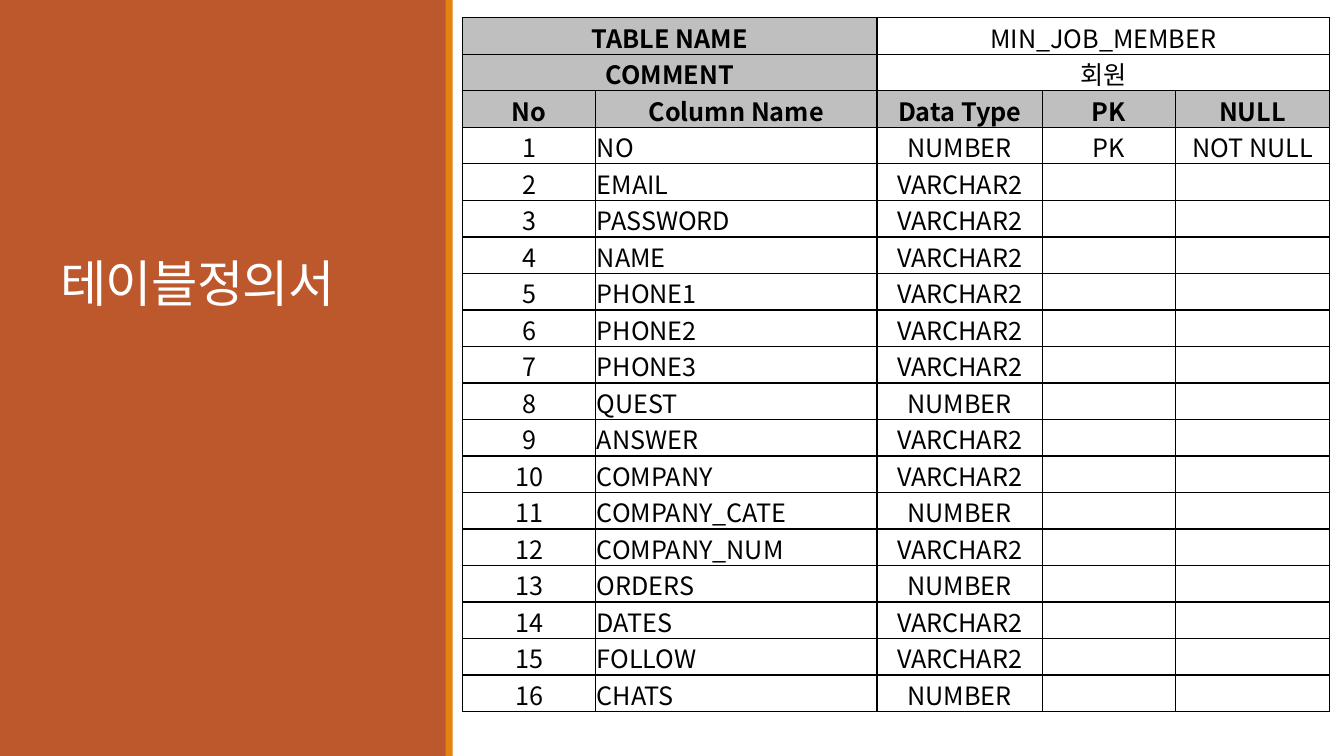
from lxml import etree
from pptx import Presentation
from pptx.dml.color import RGBColor
from pptx.enum.shapes import MSO_SHAPE
from pptx.enum.text import MSO_ANCHOR, PP_ALIGN
from pptx.oxml.ns import qn
from pptx.util import Cm, Pt

RECT = MSO_SHAPE.RECTANGLE
MIDDLE, BOTTOM = MSO_ANCHOR.MIDDLE, MSO_ANCHOR.BOTTOM
LEFT, CENTER = PP_ALIGN.LEFT, PP_ALIGN.CENTER
SANS = "Noto Sans CJK KR"
BLACK, WHITE, GRAY = "000000", "FFFFFF", "BFBFBF"
WIDTHS = [3.35, 7.09, 4.17, 3.35, 3.89]
ROW = 0.92
HEADS = ["No", "Column Name", "Data Type", "PK", "NULL"]
TEXT, NUM = "VARCHAR2", "NUMBER"
FIELDS = [
    ("NO", NUM), ("EMAIL", TEXT), ("PASSWORD", TEXT), ("NAME", TEXT),
    ("PHONE1", TEXT), ("PHONE2", TEXT), ("PHONE3", TEXT), ("QUEST", NUM),
    ("ANSWER", TEXT), ("COMPANY", TEXT), ("COMPANY_CATE", NUM),
    ("COMPANY_NUM", TEXT), ("ORDERS", NUM), ("DATES", TEXT),
    ("FOLLOW", TEXT), ("CHATS", NUM),
]


def color(code):
    return RGBColor.from_string(code)


def style(par, size, name, code, bold=False):
    for run in par.runs:
        font = run.font
        font.size, font.name, font.bold = Pt(size), name, bold
        font.color.rgb = color(code)
        east = etree.Element(qn("a:ea"), typeface=SANS)
        run._r.rPr.find(qn("a:latin")).addnext(east)


def add_bar(slide, left, width, code):
    bar = slide.shapes.add_shape(RECT, Cm(left), 0, Cm(width), Cm(19.05))
    bar.shadow.inherit = False
    bar.fill.solid()
    bar.fill.fore_color.rgb = color(code)
    bar.line.fill.background()


def add_title(slide, text):
    box = slide.shapes.add_textbox(Cm(1.27), Cm(1.65), Cm(8.89), Cm(6.35))
    frame = box.text_frame
    frame.word_wrap = True
    frame.vertical_anchor = BOTTOM
    frame.text = text
    par = frame.paragraphs[0]
    par.line_spacing = 0.85
    style(par, 36, "Calibri", WHITE)
    par.runs[0]._r.rPr.set("spc", "-50")


def add_edges(cell):
    props = cell._tc.get_or_add_tcPr()
    for spot, side in enumerate(("lnL", "lnR", "lnT", "lnB")):
        line = etree.Element(qn("a:" + side), w=str(Pt(1)))
        fill = etree.SubElement(line, qn("a:solidFill"))
        etree.SubElement(fill, qn("a:srgbClr"), val=BLACK)
        props.insert(spot, line)


def fill_cell(cell, text, head, align):
    cell.margin_left = cell.margin_right = cell.margin_top = Cm(0.03)
    cell.margin_bottom = 0
    cell.vertical_anchor = MIDDLE
    if head:
        cell.fill.solid()
        cell.fill.fore_color.rgb = color(GRAY)
    else:
        cell.fill.background()
    add_edges(cell)
    if text:
        cell.text_frame.text = text
    par = cell.text_frame.paragraphs[0]
    par.alignment = align
    style(par, 18, SANS, BLACK, head)


def add_grid(slide):
    rows = [["TABLE NAME", "", "MIN_JOB_MEMBER", "", ""],
            ["COMMENT", "", "회원", "", ""], HEADS]
    for num, (name, kind) in enumerate(FIELDS, 1):
        keys = ["PK", "NOT NULL"] if num == 1 else ["", ""]
        rows.append([str(num), name, kind] + keys)
    frame = slide.shapes.add_table(
        len(rows), len(WIDTHS), Cm(11.66), Cm(0.45),
        Cm(sum(WIDTHS)), Cm(ROW * len(rows)))
    table = frame.table
    table.first_row = table.horz_banding = False
    for col, width in zip(table.columns, WIDTHS):
        col.width = Cm(width)
    for y, row in enumerate(rows):
        table.rows[y].height = Cm(ROW)
        for x, text in enumerate(row):
            head = y == 2 or (y < 2 and x < 2)
            align = LEFT if y > 2 and x == 1 else CENTER
            fill_cell(table.cell(y, x), text, head, align)
    for y in range(2):
        table.cell(y, 0).merge(table.cell(y, 1))
        table.cell(y, 2).merge(table.cell(y, 4))


def main():
    deck = Presentation()
    deck.slide_width, deck.slide_height = Cm(33.87), Cm(19.05)
    slide = deck.slides.add_slide(deck.slide_layouts[6])
    add_bar(slide, 0, 11.25, "BD582C")
    add_bar(slide, 11.23, 0.18, "E48312")
    add_title(slide, "테이블정의서")
    add_grid(slide)
    deck.save("out.pptx")


if __name__ == "__main__":
    main()
